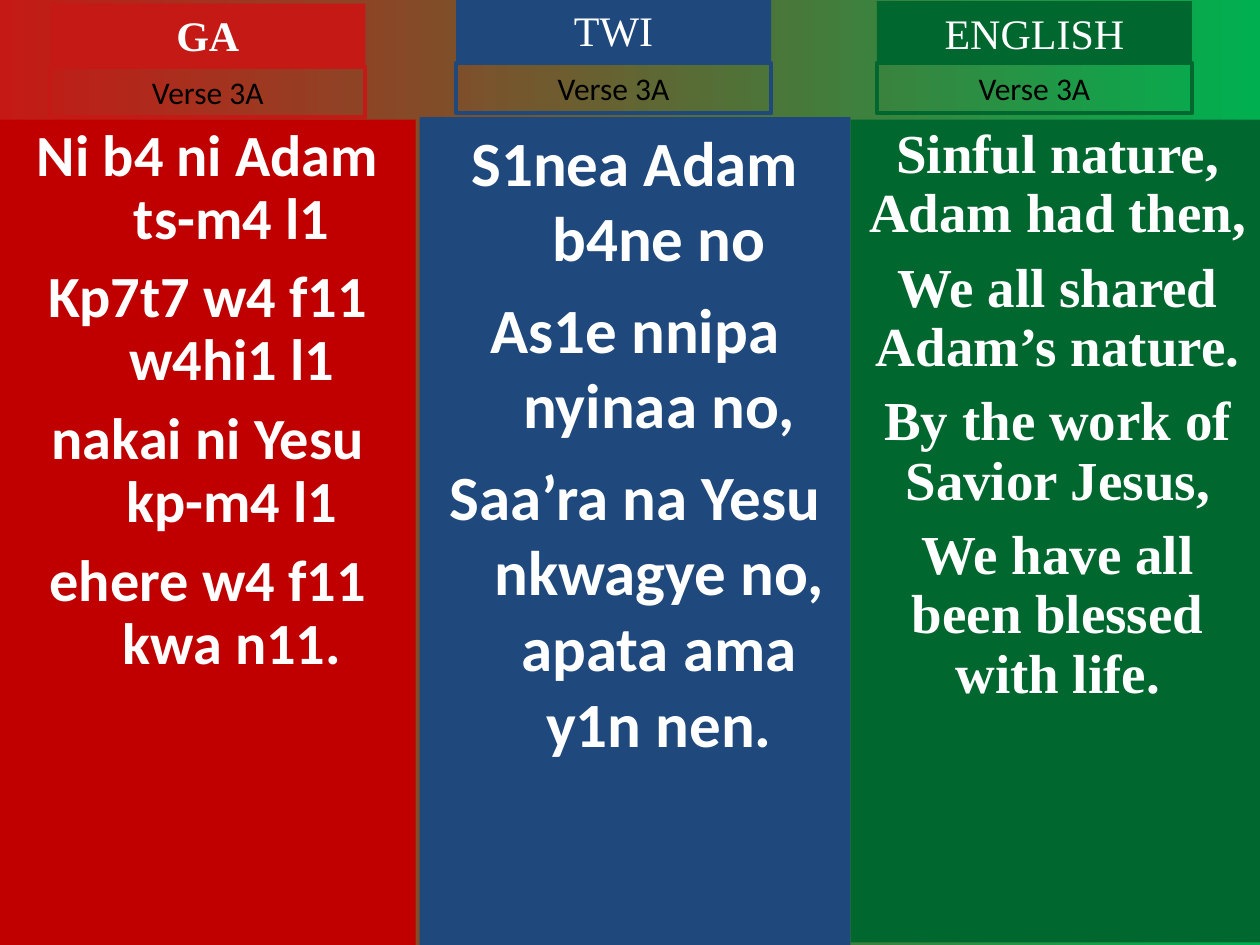
import pptx
import pptx.util
from dataclasses import dataclass
from pptx.dml.color import RGBColor
from pptx.enum.shapes import MSO_SHAPE
from pptx.enum.text import MSO_ANCHOR, PP_ALIGN
from pptx.util import Inches

WHITE, BLACK = "FFFFFF", "000000"
SANS, SERIF = "Calibri", "Times New Roman"


@dataclass
class Style:
    font: str
    size: float
    color: str = WHITE
    bold: bool = False
    lead: float = 1.0
    gap: float = 0
    hang: float = 0


@dataclass
class Column:
    title: str
    verse: list[str]
    tint: str
    fill: str
    body: tuple[float, float, float, float]
    left: float
    top: float
    label: float
    head: Style
    text: Style


def paint(target, color: str) -> None:
    target.rgb = RGBColor.from_string(color)


def add_box(slide, at, lines: list[str], style: Style, fill="", edge="") -> None:
    box = slide.shapes.add_shape(MSO_SHAPE.RECTANGLE, *map(Inches, at))
    box.shadow.inherit = False
    if fill:
        box.fill.solid()
        paint(box.fill.fore_color, fill)
    else:
        box.fill.background()
    if edge:
        paint(box.line.color, edge)
        box.line.width = pptx.util.Pt(2.25)
    else:
        box.line.fill.background()

    frame = box.text_frame
    frame.word_wrap = True
    frame.vertical_anchor = MSO_ANCHOR.TOP
    frame.text = "\n".join(lines)
    for i, para in enumerate(frame.paragraphs):
        para.alignment = PP_ALIGN.CENTER
        para.line_spacing = style.lead
        if i and style.gap:
            para.space_before = pptx.util.Pt(style.gap)
        if style.hang:
            props = para._p.get_or_add_pPr()
            props.set("marL", str(Inches(style.hang)))
            props.set("indent", str(-Inches(style.hang)))
        for run in para.runs:
            run.font.name = style.font
            run.font.size = pptx.util.Pt(style.size)
            run.font.bold = style.bold
            paint(run.font.color, style.color)


def add_column(slide, col: Column) -> None:
    add_box(slide, col.body, col.verse, col.text, fill=col.fill)
    add_box(slide, (col.left, col.top, 2.5, 0.5), [col.title], col.head,
            fill=col.tint)
    add_box(slide, (col.left, col.label, 2.5, 0.4), ["Verse 3A"],
            Style(SANS, 18, BLACK), edge=col.tint)


COLUMNS = [
    Column("GA",
           ["Ni b4 ni Adam ts-m4 l1", "Kp7t7 w4 f11 w4hi1 l1",
            "nakai ni Yesu kp-m4 l1", "ehere w4 f11 kwa n11."],
           "C51915", "C00000", (0, 0.95, 3.3, 6.55), 0.4, 0.03, 0.53,
           Style(SERIF, 24, bold=True),
           Style(SANS, 33.3, bold=True, lead=0.9, gap=9, hang=0.38)),
    Column("TWI",
           ["S1nea Adam b4ne no", "As1e nnipa nyinaa no,",
            "Saa’ra na Yesu nkwagye no, apata ama y1n nen."],
           "1F497D", "1F497D", (3.33, 0.93, 3.42, 6.57), 3.62, -0.01, 0.5,
           Style(SERIF, 24),
           Style(SANS, 36, bold=True, gap=9, hang=0.38)),
    Column("ENGLISH",
           ["Sinful nature, Adam had then,", "We all shared Adam’s nature.",
            "By the work of Savior Jesus,",
            "We have all been blessed with life."],
           "00682F", "00682F", (6.75, 0.95, 3.29, 6.53), 6.96, 0.01, 0.5,
           Style(SERIF, 24),
           Style(SERIF, 31.4, bold=True, lead=0.9, gap=8.5)),
]


def main() -> None:
    deck = pptx.Presentation()
    deck.slide_width, deck.slide_height = Inches(10), Inches(7.5)
    slide = deck.slides.add_slide(deck.slide_layouts[6])

    # Red to green backdrop
    back = slide.background.fill
    back.gradient()
    back.gradient_angle = 0
    for stop, color, pos in zip(back.gradient_stops, ("C51915", "00B050"), (0, 1)):
        paint(stop.color, color)
        stop.position = pos

    # One column per language
    for col in COLUMNS:
        add_column(slide, col)
    deck.save("out.pptx")


if __name__ == "__main__":
    main()
